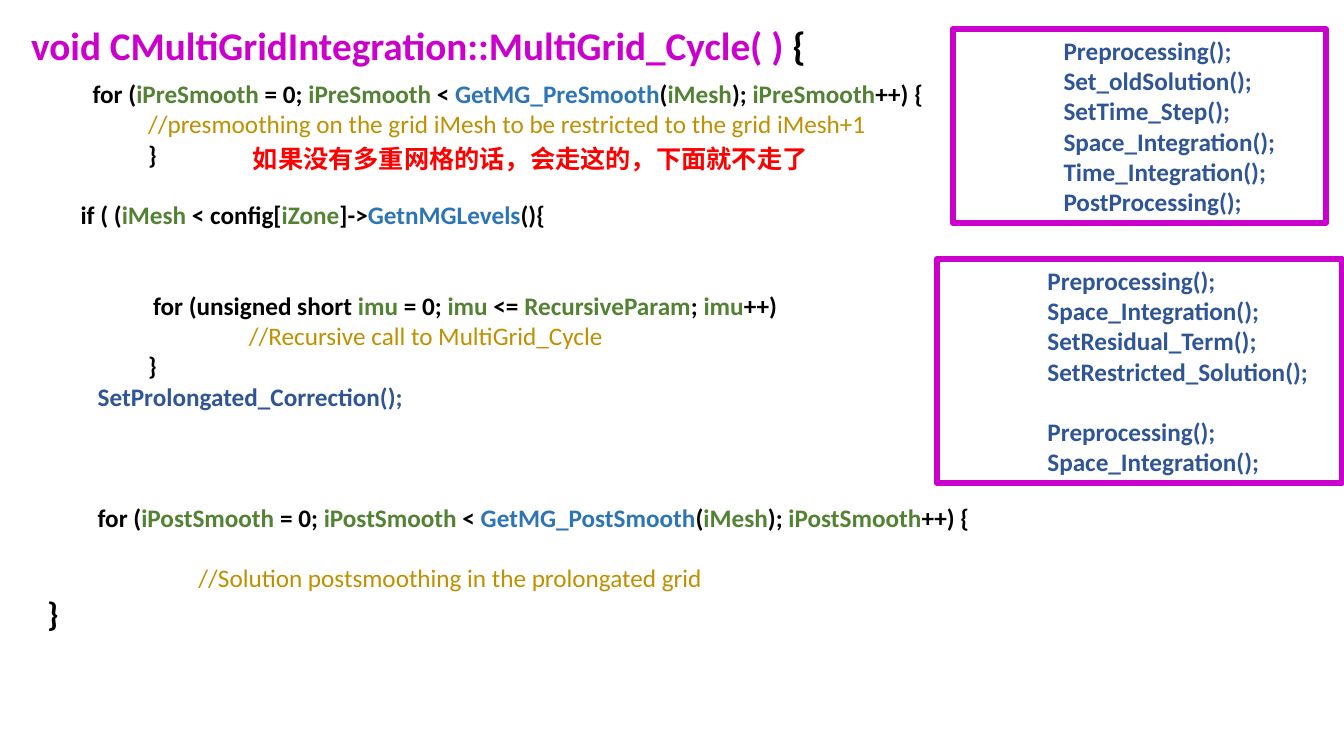
from dataclasses import dataclass

from pptx import Presentation
from pptx.dml.color import RGBColor
from pptx.enum.shapes import MSO_SHAPE
from pptx.enum.text import MSO_ANCHOR, MSO_AUTO_SIZE, PP_ALIGN
from pptx.slide import Slide
from pptx.text.text import TextFrame, _Paragraph
from pptx.util import Inches, Pt

COLORS = {
    "code": "000000",
    "variable": "548235",
    "getter": "2E75B6",
    "call": "2F5597",
    "comment": "BF9000",
    "frame": "CC00CC",
    "remark": "FF0000",
}
FONT = "Calibri"
LINE_HEIGHT = 21.6  # points taken by one line of 18 point text

Run = tuple[str, str]  # text, colour name


@dataclass
class Line:
    runs: list[Run]
    indent: float = 0
    lines_before: int = 0
    size: int = 18
    bold: bool = True


@dataclass
class CallBox:
    left: float
    top: float
    width: float
    height: float
    lines: list[Line]


def color(name: str) -> RGBColor:
    return RGBColor.from_string(COLORS[name])


def call(name: str, lines_before: int = 0) -> Line:
    return Line([(f"{name}();", "call")], 1, lines_before)


def smoothing_loop(stage: str, indent: float, lines_before: int = 0) -> Line:
    counter = (f"i{stage}", "variable")
    return Line([
        ("for (", "code"), counter, (" = 0; ", "code"), counter, (" < ", "code"),
        (f"GetMG_{stage}", "getter"), ("(", "code"), ("iMesh", "variable"),
        ("); ", "code"), counter, ("++) {", "code"),
    ], indent, lines_before)


def comment(text: str, indent: float, lines_before: int = 0) -> Line:
    return Line([(f"//{text}", "comment")], indent, lines_before, bold=False)


def brace(indent: float, size: int = 18) -> Line:
    return Line([("}", "code")], indent, size=size)


def write_line(paragraph: _Paragraph, line: Line) -> None:
    properties = paragraph._p.get_or_add_pPr()
    properties.set("marL", str(Inches(line.indent)))
    properties.set("indent", "0")
    paragraph.alignment = PP_ALIGN.LEFT
    paragraph.line_spacing = 1.0
    paragraph.space_before = Pt(line.lines_before * LINE_HEIGHT)
    paragraph.font.name = FONT
    paragraph.font.size = Pt(line.size)
    paragraph.font.bold = line.bold
    if len(line.runs) == 1:
        paragraph.font.color.rgb = color(line.runs[0][1])
    for text, color_name in line.runs:
        run = paragraph.add_run()
        run.text = text
        if len(line.runs) > 1:
            run.font.color.rgb = color(color_name)


def write_lines(frame: TextFrame, lines: list[Line], wrap: bool = True,
                anchor: MSO_ANCHOR = MSO_ANCHOR.TOP) -> None:
    frame.word_wrap = wrap
    frame.auto_size = MSO_AUTO_SIZE.NONE
    frame.vertical_anchor = anchor
    for index, line in enumerate(lines):
        paragraph = frame.add_paragraph() if index else frame.paragraphs[0]
        write_line(paragraph, line)


def draw_call_box(slide: Slide, box: CallBox) -> None:
    shape = slide.shapes.add_shape(
        MSO_SHAPE.RECTANGLE, Inches(box.left), Inches(box.top),
        Inches(box.width), Inches(box.height))
    shape.shadow.inherit = False
    shape.fill.background()
    shape.line.color.rgb = color("frame")
    shape.line.width = Pt(4.5)
    write_lines(shape.text_frame, box.lines, anchor=MSO_ANCHOR.MIDDLE)


HEADING = Line([
    ("void CMultiGridIntegration::MultiGrid_Cycle( ) ", "frame"), ("{", "code"),
], size=28)

CYCLE_CODE = [
    smoothing_loop("PreSmooth", 0.45),
    comment("presmoothing on the grid iMesh to be restricted to the grid iMesh+1", 1),
    brace(1),
    Line([
        ("if ( (", "code"), ("iMesh", "variable"), (" < config[", "code"),
        ("iZone", "variable"), ("]->", "code"), ("GetnMGLevels", "getter"),
        ("(){", "code"),
    ], 0.33, 1),
    Line([
        ("for (unsigned short ", "code"), ("imu", "variable"), (" = 0; ", "code"),
        ("imu", "variable"), (" <= ", "code"), ("RecursiveParam", "variable"),
        ("; ", "code"), ("imu", "variable"), ("++)", "code"),
    ], 1.05, 2),
    comment("Recursive call to MultiGrid_Cycle", 2),
    brace(1),
    Line([("SetProlongated_Correction();", "call")], 0.5),
    smoothing_loop("PostSmooth", 0.5, 3),
    comment("Solution postsmoothing in the prolongated grid", 1.5, 1),
    brace(0, 24),
]

CALL_BOXES = [
    CallBox(9.45, 0.29, 3.7, 1.92, [call(name) for name in (
        "Preprocessing", "Set_oldSolution", "SetTime_Step",
        "Space_Integration", "Time_Integration", "PostProcessing")]),
    CallBox(9.29, 2.57, 4.02, 2.22, [
        call("Preprocessing"), call("Space_Integration"),
        call("SetResidual_Term"), call("SetRestricted_Solution"),
        call("Preprocessing", 1), call("Space_Integration")]),
]

REMARK = Line([("如果没有多重网格的话，会走这的，下面就不走了", "remark")])


def main() -> None:
    presentation = Presentation()
    presentation.slide_width = Inches(13.33)
    presentation.slide_height = Inches(7.5)
    slide = presentation.slides.add_slide(presentation.slide_layouts[5])

    # Function signature
    title = slide.shapes.title
    title.left, title.top = Inches(0.21), Inches(0.16)
    title.width, title.height = Inches(7.99), Inches(0.57)
    write_lines(title.text_frame, [HEADING], wrap=False)

    # Function body
    body = slide.shapes.add_textbox(
        Inches(0.37), Inches(0.73), Inches(11.65), Inches(5.65))
    write_lines(body.text_frame, CYCLE_CODE)

    # Calls made in each stage
    for box in CALL_BOXES:
        draw_call_box(slide, box)

    # Remark on the single-grid case
    remark = slide.shapes.add_textbox(
        Inches(2.41), Inches(1.37), Inches(5.92), Inches(0.4))
    write_lines(remark.text_frame, [REMARK], wrap=False)

    presentation.save("out.pptx")


if __name__ == "__main__":
    main()
